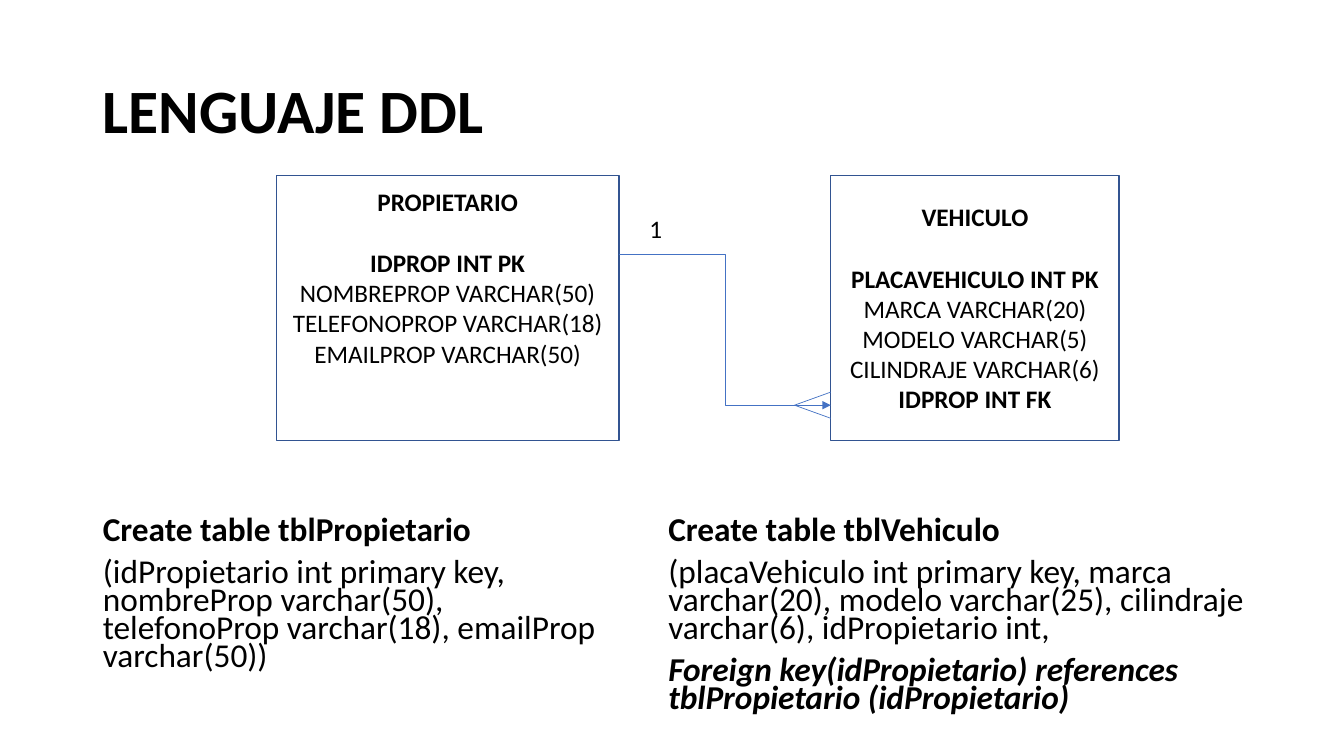
from dataclasses import dataclass

from lxml import etree
from pptx import Presentation
from pptx.dml.color import RGBColor
from pptx.enum.shapes import MSO_CONNECTOR as Connector, MSO_SHAPE as Shape
from pptx.enum.text import MSO_ANCHOR as Anchor, MSO_AUTO_SIZE as AutoSize, PP_ALIGN as Align
from pptx.oxml.ns import qn
from pptx.util import Inches, Pt


@dataclass(frozen=True)
class Theme:
    font: str = "Calibri"
    text: RGBColor = RGBColor(0x00, 0x00, 0x00)
    paper: RGBColor = RGBColor(0xFF, 0xFF, 0xFF)
    border: RGBColor = RGBColor(0x32, 0x54, 0x91)
    link: RGBColor = RGBColor(0x44, 0x72, 0xC4)
    title_size: float = 44
    code_size: float = 23.8
    entity_size: float = 18
    heading_gap: float = 22
    border_width: float = 1
    link_width: float = 0.5


THEME = Theme()

OWNER_FIELDS = [
    ("IDPROP INT PK", True),
    ("NOMBREPROP VARCHAR(50)", False),
    ("TELEFONOPROP VARCHAR(18)", False),
    ("EMAILPROP VARCHAR(50)", False),
]
VEHICLE_FIELDS = [
    ("PLACAVEHICULO INT PK", True),
    ("MARCA VARCHAR(20)", False),
    ("MODELO VARCHAR(5)", False),
    ("CILINDRAJE VARCHAR(6)", False),
    ("IDPROP INT FK", True),
]
OWNER_CODE = [
    ("Create table tblPropietario", True, False),
    ("(idPropietario int primary key, nombreProp varchar(50), "
     "telefonoProp varchar(18), emailProp varchar(50))", False, False),
]
VEHICLE_CODE = [
    ("Create table tblVehiculo", True, False),
    ("(placaVehiculo int primary key, marca varchar(20), modelo varchar(25), "
     "cilindraje varchar(6), idPropietario int,", False, False),
    ("Foreign key(idPropietario) references tblPropietario (idPropietario)", True, True),
]


def place(shape, left, top, width, height):
    shape.left, shape.top = Inches(left), Inches(top)
    shape.width, shape.height = Inches(width), Inches(height)


def add_span(para, text, size, bold=False, italic=False):
    span = para.add_run()
    span.text = text
    font = span.font
    font.name, font.size = THEME.font, Pt(size)
    font.bold, font.italic = bold, italic
    font.color.rgb = THEME.text


def paragraphs(frame, count):
    return [frame.paragraphs[0]] + [frame.add_paragraph() for _ in range(count - 1)]


def prepare_frame(frame, anchor):
    frame.word_wrap = True
    frame.auto_size = AutoSize.NONE
    frame.vertical_anchor = anchor


def fill_title(title, text):
    place(title, 0.92, 0.4, 11.5, 1.45)
    prepare_frame(title.text_frame, Anchor.MIDDLE)
    para = title.text_frame.paragraphs[0]
    para.alignment, para.line_spacing = Align.LEFT, 0.9
    add_span(para, text, THEME.title_size, bold=True)


def fill_code(box, statements):
    frame = box.text_frame
    prepare_frame(frame, Anchor.TOP)
    frame.margin_top = Inches(0.47)
    for para, (text, bold, italic) in zip(paragraphs(frame, len(statements)), statements):
        para.line_spacing, para.space_before = 0.7, Pt(10)
        properties = para._p.get_or_add_pPr()
        properties.set("marL", "0")
        properties.set("indent", "0")
        etree.SubElement(properties, qn("a:buNone"))
        add_span(para, text, THEME.code_size, bold, italic)


def add_panel(page, left, top, width, height, lines):
    panel = page.shapes.add_shape(
        Shape.RECTANGLE, Inches(left), Inches(top), Inches(width), Inches(height))
    panel.shadow.inherit = False
    panel.fill.solid()
    panel.fill.fore_color.rgb = THEME.paper
    panel.line.fill.background()
    frame = panel.text_frame
    prepare_frame(frame, Anchor.MIDDLE)
    for para, (text, bold) in zip(paragraphs(frame, len(lines)), lines):
        para.alignment = Align.CENTER
        add_span(para, text, THEME.entity_size, bold)
    return panel


def add_entity(page, left, width, name, fields, bottom_margin=0.05):
    entity = add_panel(page, left, 1.74, width, 2.63, [(name, True)] + fields)
    entity.line.color.rgb = THEME.border
    entity.line.width = Pt(THEME.border_width)
    entity.text_frame.margin_bottom = Inches(bottom_margin)
    entity.text_frame.paragraphs[0].space_after = Pt(THEME.heading_gap)


def add_link(page, kind, start, end, arrow=False):
    link = page.shapes.add_connector(kind, *map(Inches, start + end))
    link.line.color.rgb = THEME.link
    link.line.width = Pt(THEME.link_width)
    if arrow:
        etree.SubElement(link.line._get_or_add_ln(), qn("a:tailEnd"), type="triangle")
    etree.SubElement(link._element.spPr, qn("a:effectLst"))


def add_relation(page):
    vehicle_edge, row, fork, spread = 8.24, 4.02, 7.88, 0.13
    add_link(page, Connector.ELBOW, (6.14, 2.52), (vehicle_edge, row), arrow=True)
    for offset in (-spread, spread):
        add_link(page, Connector.STRAIGHT, (fork, row), (vehicle_edge, row + offset))
    add_panel(page, 6.17, 2.01, 0.67, 0.51, [("1", False)])


def main():
    deck = Presentation()
    deck.slide_width, deck.slide_height = Inches(13.33), Inches(7.5)
    page = deck.slides.add_slide(deck.slide_layouts[1])

    fill_title(page.shapes.title, "LENGUAJE DDL")
    owner_code = page.placeholders[1]
    place(owner_code, 0.92, 4.68, 5.25, 2.08)
    fill_code(owner_code, OWNER_CODE)

    add_entity(page, 8.24, 2.86, "VEHICULO", VEHICLE_FIELDS)
    add_entity(page, 2.74, 3.4, "PROPIETARIO", OWNER_FIELDS, bottom_margin=0.66)
    add_relation(page)

    vehicle_code = page.shapes.add_textbox(
        Inches(6.53), Inches(4.68), Inches(6.29), Inches(2.63))
    fill_code(vehicle_code, VEHICLE_CODE)

    deck.save("out.pptx")


if __name__ == "__main__":
    main()
